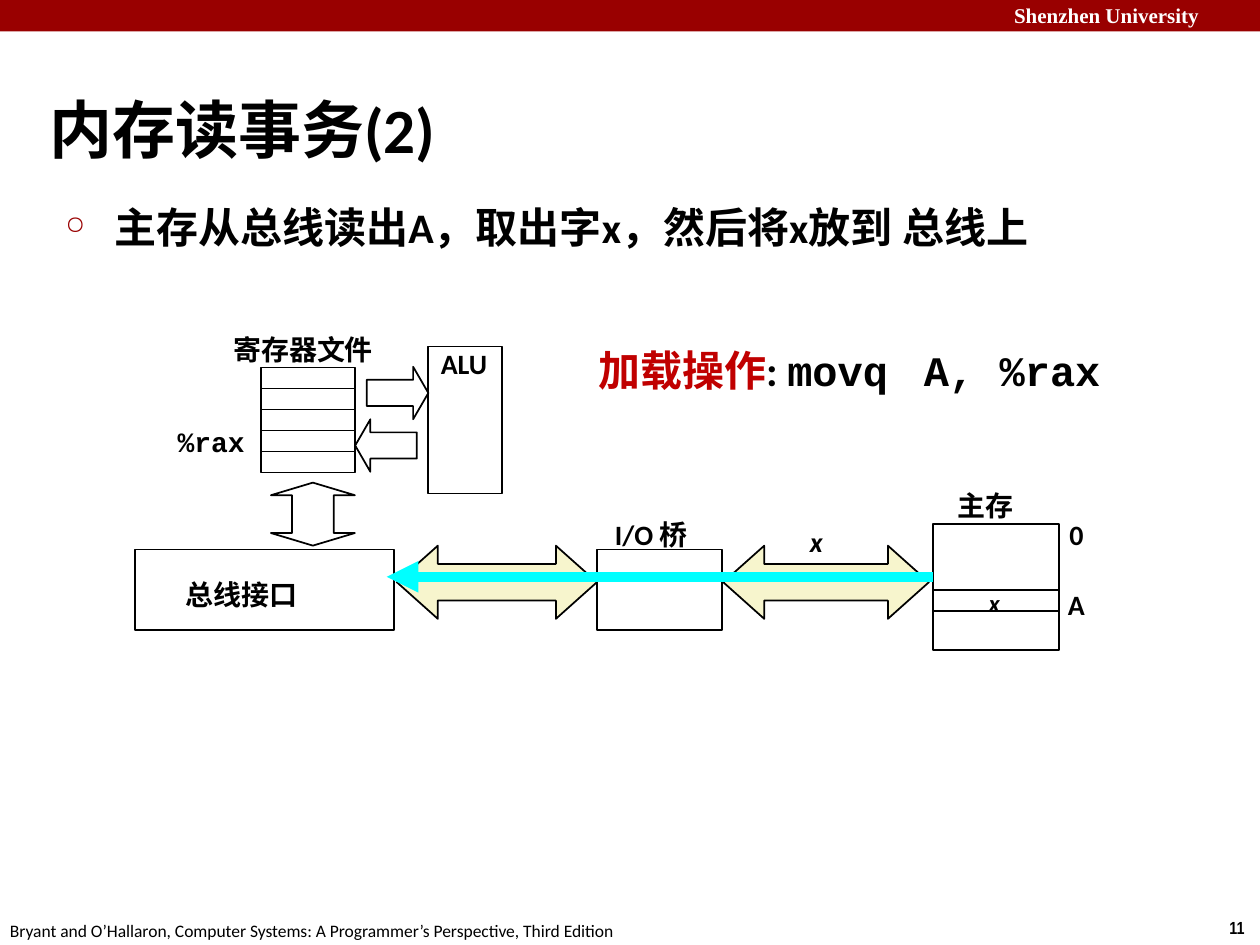
from lxml.etree import SubElement
from pptx import Presentation
from pptx.dml.color import RGBColor
from pptx.enum.shapes import MSO_CONNECTOR, MSO_SHAPE
from pptx.enum.text import MSO_ANCHOR, PP_ALIGN
from pptx.oxml.ns import qn
from pptx.util import Pt

BLACK = RGBColor(0x00, 0x00, 0x00)
WHITE = RGBColor(0xFF, 0xFF, 0xFF)
CRIMSON = RGBColor(0x99, 0x00, 0x00)
RED = RGBColor(0xC0, 0x00, 0x00)
CREAM = RGBColor(0xF7, 0xF5, 0xCD)
CYAN = RGBColor(0x00, 0xFF, 0xFF)

BODY, CODE = "Calibri", "Courier New"
LABEL = {"name": BODY, "size": Pt(16), "bold": True}
VALUE = {**LABEL, "italic": True}
HEADLINE = {**LABEL, "size": Pt(24)}

REGISTER_COUNT, REGISTER_HEIGHT = 5, 12


def add_run(paragraph, text, style, color=BLACK):
    run = paragraph.add_run()
    run.text = text
    for attribute, value in style.items():
        setattr(run.font, attribute, value)
    run.font.color.rgb = color


def set_frame(frame, insets=(0, 0, 0, 0), wrap=True, anchor=MSO_ANCHOR.TOP):
    sides = ("left", "top", "right", "bottom")
    settings = {f"margin_{side}": Pt(inset) for side, inset in zip(sides, insets)}
    settings.update(word_wrap=wrap, vertical_anchor=anchor)
    for attribute, value in settings.items():
        setattr(frame, attribute, value)


def add_text(slide, box, runs, **frame_settings):
    """Add a one-paragraph text box; each run is (text, style[, color])."""
    frame = slide.shapes.add_textbox(*map(Pt, box)).text_frame
    set_frame(frame, **frame_settings)
    paragraph = frame.paragraphs[0]
    for run in runs:
        add_run(paragraph, *run)
    return paragraph


def paint(block, fill=None, line=BLACK):
    block.shadow.inherit = False
    if fill is None:
        block.fill.background()
    else:
        block.fill.solid()
        block.fill.fore_color.rgb = fill
    if line is None:
        block.line.fill.background()
    else:
        block.line.color.rgb = line
        block.line.width = Pt(1)


def add_block(slide, kind, box, fill=None, line=BLACK, adjustments=()):
    block = slide.shapes.add_shape(kind, *map(Pt, box))
    paint(block, fill, line)
    for index, value in enumerate(adjustments):
        block.adjustments[index] = value
    return block


def add_up_down_arrow(slide, box, shaft, head):
    """Outline a vertical double arrow with the given shaft width and head height."""
    left, top, width, height = box
    center, right, bottom = left + width / 2, left + width, top + height
    shaft_left, shaft_right = center - shaft / 2, center + shaft / 2
    upper, lower = top + head, bottom - head
    outline = [
        (center, top), (right, upper), (shaft_right, upper),
        (shaft_right, lower), (right, lower), (center, bottom),
        (left, lower), (shaft_left, lower), (shaft_left, upper), (left, upper),
    ]
    start, *corners = [(Pt(x), Pt(y)) for x, y in outline]
    builder = slide.shapes.build_freeform(*start)
    builder.add_line_segments(corners, close=True)
    paint(builder.convert_to_shape())


def add_bullet(paragraph, mark, color, percent, indent):
    properties = paragraph._p.get_or_add_pPr()
    properties.set("marL", str(Pt(indent)))
    properties.set("indent", str(-Pt(indent)))
    bullet_color = SubElement(properties, qn("a:buClr"))
    SubElement(bullet_color, qn("a:srgbClr"), val=str(color))
    SubElement(properties, qn("a:buSzPct"), val=str(percent * 1000))
    SubElement(properties, qn("a:buChar"), char=mark)


def add_data_arrow(slide, start, end):
    arrow = slide.shapes.add_connector(MSO_CONNECTOR.STRAIGHT, *map(Pt, start + end))
    arrow.line.color.rgb = CYAN
    arrow.line.width = Pt(6)
    SubElement(arrow.line._get_or_add_ln(), qn("a:tailEnd"), type="triangle")
    SubElement(arrow._element.spPr, qn("a:effectLst"))


def add_page_furniture(slide):
    default_insets = (7.2, 3.6, 7.2, 3.6)
    add_block(slide, MSO_SHAPE.RECTANGLE, (0, 0, 720, 18), CRIMSON, None)
    furniture = [
        ((572.4, -2.2, 152.6, 21.6), "Shenzhen University",
         {"name": "Times New Roman", "size": Pt(12), "bold": True}, WHITE, True),
        ((695.5, 520.6, 24.5, 19.4), "11",
         {"name": "Arial Narrow", "size": Pt(10), "bold": True}, BLACK, False),
        ((-1.4, 522, 366.5, 19.4),
         "Bryant and O’Hallaron, Computer Systems: A Programmer’s Perspective, Third Edition",
         {"name": BODY, "size": Pt(10)}, BLACK, False),
    ]
    for box, text, style, color, wrap in furniture:
        add_text(slide, box, [(text, style, color)], insets=default_insets, wrap=wrap)


def add_headings(slide):
    add_text(slide, (28.1, 33.8, 597.6, 61.2),
             [("内存读事务(2)", {**LABEL, "size": Pt(36)})],
             insets=(0, 17.3, 0, 0), anchor=MSO_ANCHOR.MIDDLE)
    step = add_text(slide, (37.4, 115.2, 573, 28.8), [])
    add_bullet(step, "○", CRIMSON, 60, 28)
    add_run(step, "主存从总线读出A，取出字x，然后将x放到 总线上", HEADLINE)

    # Load instruction
    code = {**HEADLINE, "name": CODE}
    add_text(slide, (341.8, 196.6, 210.2, 28.8),
             [("加载操作", HEADLINE, RED), (": ", HEADLINE), ("movq", code)])
    add_text(slide, (528, 196.6, 112.3, 28.8), [("A, %rax", code)])


def add_processor(slide):
    # Register file
    for row in range(REGISTER_COUNT):
        add_block(slide, MSO_SHAPE.RECTANGLE,
                  (149, 210 + row * REGISTER_HEIGHT, 54, REGISTER_HEIGHT))

    # ALU
    alu = add_block(slide, MSO_SHAPE.RECTANGLE, (244.8, 198, 42, 84))
    set_frame(alu.text_frame, insets=(7.2, 0, 0, 0))
    alu_label = alu.text_frame.paragraphs[0]
    alu_label.alignment = PP_ALIGN.LEFT
    add_run(alu_label, "ALU", LABEL)

    # Paths between registers, ALU and bus interface
    for kind, box in [(MSO_SHAPE.RIGHT_ARROW, (209.6, 209.6, 35.2, 30)),
                      (MSO_SHAPE.LEFT_ARROW, (203, 239.6, 35.2, 30))]:
        add_block(slide, kind, box, adjustments=(0.5, 0.29))
    add_up_down_arrow(slide, (154.8, 275.8, 48, 36), shaft=24, head=7.2)


def add_bus_and_memory(slide):
    # System bus and memory bus
    for left, width in [(226.8, 114.3), (413.3, 117.5)]:
        add_block(slide, MSO_SHAPE.LEFT_RIGHT_ARROW, (left, 311.8, width, 41.8),
                  CREAM, adjustments=(0.5, 0.56))

    # Bus interface, I/O bridge, main memory and the word at A
    for box in [(77, 314, 148, 46), (341.3, 314, 71.5, 46),
                (533, 299.6, 72, 72), (533, 337, 72, 12)]:
        add_block(slide, MSO_SHAPE.RECTANGLE, box)

    # Word x travelling back to the processor
    add_data_arrow(slide, (533, 329.6), (221, 329.6))


def add_labels(slide):
    for text, box, style in [
        ("寄存器文件", (133.4, 190.1, 88, 19.4), LABEL),
        ("%rax", (101.6, 242.6, 41, 18), {**LABEL, "name": CODE}),
        ("总线接口", (106.2, 329.8, 88.6, 19.4), LABEL),
        ("I/O 桥", (351.4, 295.9, 52, 19.4), LABEL),
        ("主存", (547.2, 279.4, 44, 19.4), LABEL),
        ("x", (462.8, 299.5, 10, 18), VALUE),
        ("x", (565, 336.2, 9, 16), {**VALUE, "size": Pt(14)}),
        ("0", (611, 295.9, 12, 18), LABEL),
        ("A", (610.2, 335.5, 12, 18), LABEL),
    ]:
        add_text(slide, box, [(text, style)])


def main():
    presentation = Presentation()
    presentation.slide_width, presentation.slide_height = Pt(720), Pt(540)
    slide = presentation.slides.add_slide(presentation.slide_layouts[6])
    add_page_furniture(slide)
    add_headings(slide)
    add_processor(slide)
    add_bus_and_memory(slide)
    add_labels(slide)
    presentation.save("out.pptx")


if __name__ == "__main__":
    main()
